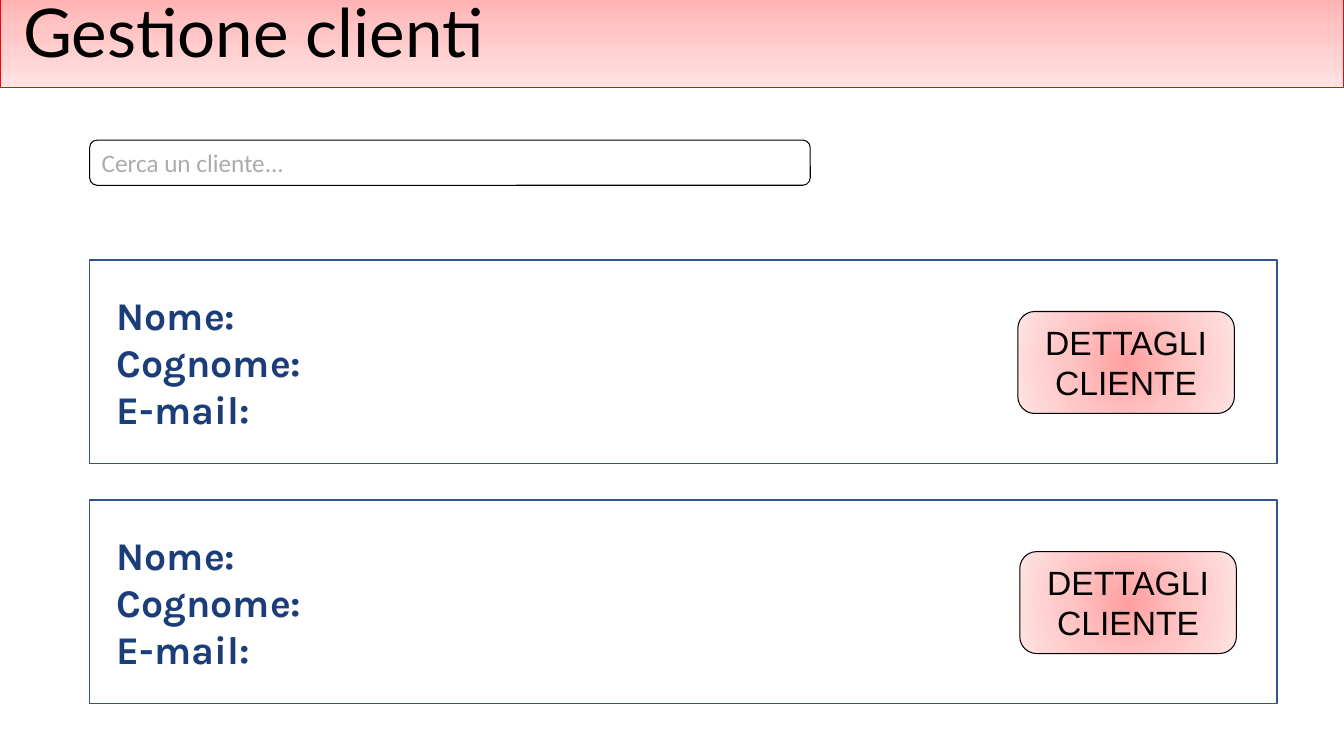
from lxml import etree
from pptx import Presentation
from pptx import util as u
from pptx.dml.color import RGBColor
from pptx.enum import shapes, text
from pptx.oxml import ns

BLACK = RGBColor(0x00, 0x00, 0x00)
RED = RGBColor(0xFF, 0x00, 0x00)
HINT_GREY = RGBColor(0xAF, 0xAB, 0xAB)
CARD_BLUE = RGBColor(0x32, 0x54, 0x91)
LABEL_BLUE = RGBColor(0x1B, 0x3D, 0x79)
PINKS = [(0, RGBColor(0xFF, 0xA0, 0xA0)),
         (50, RGBColor(0xFF, 0xC5, 0xC5)),
         (100, RGBColor(0xFF, 0xE3, 0xE3))]


class ClientPage:
    """Holds the style and the current slide."""

    def __init__(self, prs):
        self.slide = prs.slides.add_slide(prs.slide_layouts[5])

    def pink_fill(self, shape, radial=False):
        shape.fill.gradient()
        shape.fill.gradient_angle = 270
        gradient = shape._element.spPr.find(ns.qn("a:gradFill"))
        stops = gradient.find(ns.qn("a:gsLst"))
        for stop in list(stops):
            stops.remove(stop)
        for percent, color in PINKS:
            stop = etree.SubElement(stops, ns.qn("a:gs"), pos=str(percent * 1000))
            etree.SubElement(stop, ns.qn("a:srgbClr"), val=str(color))
        if radial:
            gradient.remove(gradient.find(ns.qn("a:lin")))
            circle = etree.SubElement(gradient, ns.qn("a:path"), {"path": "circle"})
            etree.SubElement(circle, ns.qn("a:fillToRect"),
                             l="50000", t="50000", r="50000", b="50000")

    def outline(self, shape, color, width):
        shape.line.color.rgb = color
        shape.line.width = u.Pt(width)

    def set_text(self, shape, lines, font, size, color, bold=False,
                 align=text.PP_ALIGN.LEFT, anchor=text.MSO_ANCHOR.TOP):
        frame = shape.text_frame
        frame.word_wrap = True
        frame.auto_size = text.MSO_AUTO_SIZE.NONE
        frame.vertical_anchor = anchor
        frame.text = "\n".join(lines)
        for paragraph in frame.paragraphs:
            paragraph.alignment = align
            paragraph.font.name = font
            paragraph.font.size = u.Pt(size)
            paragraph.font.bold = bold
            paragraph.font.color.rgb = color

    def header(self, title):
        bar = self.slide.shapes.title
        bar.left, bar.top = u.Cm(0), u.Cm(-0.69)
        bar.width, bar.height = u.Cm(33.87), u.Cm(2.9)
        self.pink_fill(bar)
        self.outline(bar, RED, 1)
        self.set_text(bar, [title], "Lato", 48, BLACK, anchor=text.MSO_ANCHOR.MIDDLE)
        bar.text_frame.margin_left = u.Cm(0.58)

    def box(self, kind, left, top, width, height, color, line_width):
        shape = self.slide.shapes.add_shape(
            kind, u.Cm(left), u.Cm(top), u.Cm(width), u.Cm(height))
        shape.shadow.inherit = False
        shape.fill.background()
        self.outline(shape, color, line_width)
        return shape

    def search_field(self, hint):
        field = self.box(shapes.MSO_SHAPE.ROUNDED_RECTANGLE,
                         2.26, 3.53, 18.16, 1.14, BLACK, 0.75)
        self.set_text(field, [hint], "Calibri", 18, HINT_GREY)

    def button(self, left, top, lines):
        button = self.box(shapes.MSO_SHAPE.ROUNDED_RECTANGLE,
                          left, top, 5.46, 2.57, BLACK, 0.75)
        self.pink_fill(button, radial=True)
        self.set_text(button, lines, "Arial", 24, BLACK, align=text.PP_ALIGN.CENTER)

    def labels(self, left, top, lines):
        labels = self.slide.shapes.add_textbox(
            u.Cm(left), u.Cm(top), u.Cm(6.02), u.Cm(5.38))
        self.set_text(labels, lines, "Karla", 28, LABEL_BLUE, bold=True)

    def client_card(self, top, button_left):
        self.box(shapes.MSO_SHAPE.RECTANGLE, 2.26, top, 29.92, 5.13, CARD_BLUE, 1)
        self.labels(2.69, top + 0.66, ["Nome:", "Cognome:", "E-mail:"])
        self.button(button_left, top + 1.3, ["DETTAGLI", "CLIENTE"])


def main():
    prs = Presentation()
    prs.slide_width, prs.slide_height = u.Cm(33.87), u.Cm(19.05)
    page = ClientPage(prs)

    # Header and search
    page.header("Gestione clienti")
    page.search_field("Cerca un cliente...")

    # Client cards
    for row, button_left in enumerate([25.65, 25.7]):
        page.client_card(6.55 + 6.05 * row, button_left)

    prs.save("out.pptx")


if __name__ == "__main__":
    main()
